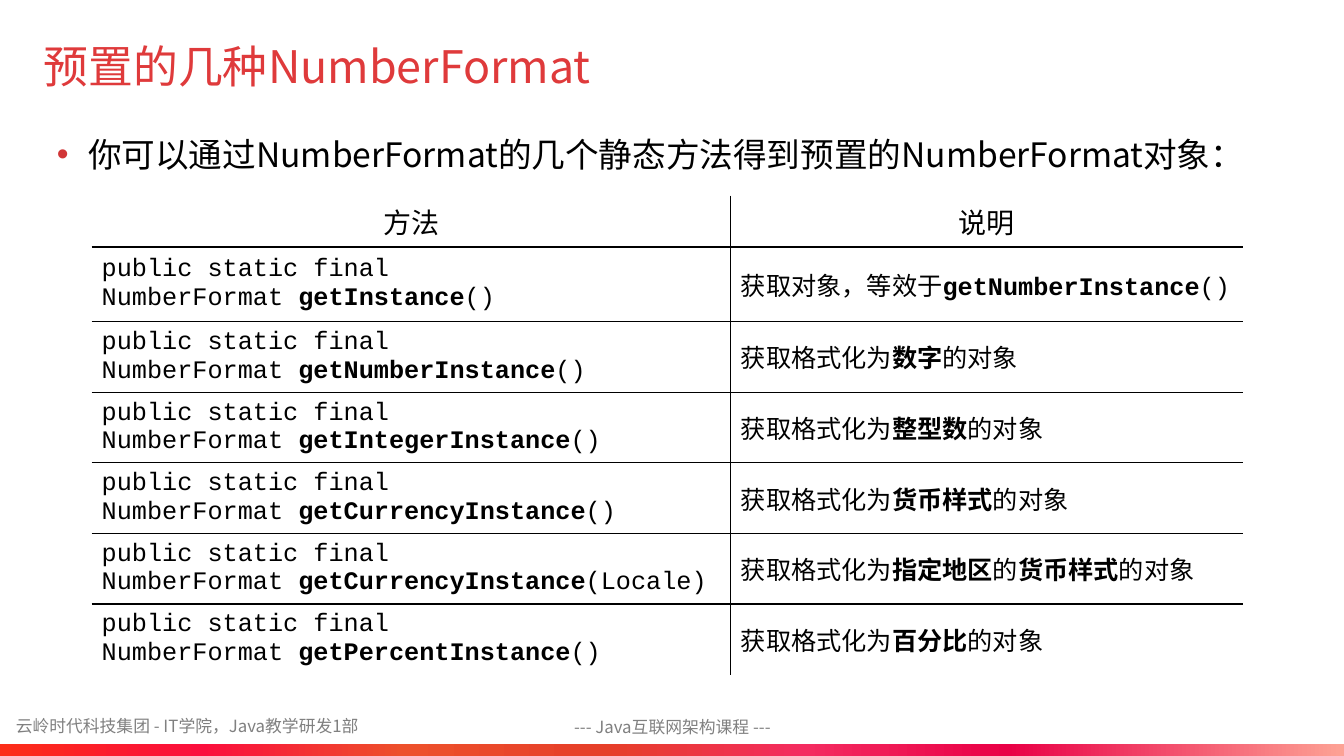
from lxml.etree import SubElement
from pptx import Presentation
from pptx.dml.color import RGBColor
from pptx.enum.shapes import MSO_SHAPE as Shape
from pptx.enum.text import MSO_ANCHOR as Anchor, MSO_AUTO_SIZE as AutoSize, PP_ALIGN as Align
from pptx.oxml.ns import qn
from pptx.util import Inches, Pt

RED = RGBColor(0xDF, 0x3A, 0x3B)
BULLET_RED = RGBColor(0xD1, 0x36, 0x37)
GREY = RGBColor(0x80, 0x80, 0x80)
BLACK = RGBColor(0, 0, 0)
WHITE = RGBColor(0xFF, 0xFF, 0xFF)
BAR_STOPS = [
    (0, RGBColor(0xFC, 0x2D, 0x18)),
    (15, RGBColor(0xFB, 0x0F, 0x3D)),
    (30, RGBColor(0xED, 0x50, 0x2B)),
    (45, RGBColor(0xE6, 0x3F, 0x29)),
    (60, RGBColor(0xF4, 0x2B, 0x60)),
    (75, RGBColor(0xE9, 0x00, 0x46)),
    (100, RGBColor(0xFD, 0xA2, 0x95)),
]
SANS, MONO = "Noto Sans CJK SC", "Courier New"
GRID_COLUMNS, GRID_ROWS = 160, 90

HEADINGS = ["方法", "说明"]
METHODS = [
    ("getInstance", "()", "获取对象，等效于*getNumberInstance*()"),
    ("getNumberInstance", "()", "获取格式化为*数字*的对象"),
    ("getIntegerInstance", "()", "获取格式化为*整型数*的对象"),
    ("getCurrencyInstance", "()", "获取格式化为*货币样式*的对象"),
    ("getCurrencyInstance", "(Locale)", "获取格式化为*指定地区*的*货币样式*的对象"),
    ("getPercentInstance", "()", "获取格式化为*百分比*的对象"),
]


class SlideBuilder:
    """Holds the grid and the current slide, and draws each kind of element."""

    def __init__(self, deck):
        """Add a title-only slide and measure its grid."""
        self.page = deck.slides.add_slide(deck.slide_layouts[5])
        self.column = deck.slide_width / GRID_COLUMNS
        self.row = deck.slide_height / GRID_ROWS

    def place(self, left, top, width, height):
        """Turn grid columns and rows into slide lengths."""
        return (round(left * self.column), round(top * self.row),
                round(width * self.column), round(height * self.row))

    def add_span(self, para, text, size, color, font=SANS, bold=False):
        """Add one styled run to a paragraph."""
        span = para.add_run()
        span.text = text
        span.font.size = Pt(size)
        span.font.bold = bold
        span.font.color.rgb = color
        span.font.name = font
        SubElement(span._r.get_or_add_rPr(), qn("a:ea"), typeface=font)

    def title(self, text, *area):
        """Move and fill the title placeholder."""
        box = self.page.shapes.title
        box.left, box.top, box.width, box.height = self.place(*area)
        frame = box.text_frame
        frame.auto_size = AutoSize.NONE
        frame.vertical_anchor = Anchor.MIDDLE
        frame.paragraphs[0].alignment = Align.LEFT
        self.add_span(frame.paragraphs[0], text, 32, RED)

    def text(self, text, size, color, *area, align=Align.LEFT, anchor=Anchor.MIDDLE):
        """Add a text box and return its paragraph."""
        frame = self.page.shapes.add_textbox(*self.place(*area)).text_frame
        frame.word_wrap = True
        frame.vertical_anchor = anchor
        para = frame.paragraphs[0]
        para.alignment = align
        self.add_span(para, text, size, color)
        return para

    def bullet(self, text, *area):
        """Add a bulleted line with a coloured marker."""
        para = self.text(text, 24, BLACK, *area, anchor=Anchor.TOP)
        para.line_spacing = 1.1
        para.space_before = Pt(10)
        props = para._p.get_or_add_pPr()
        props.set("marL", str(Inches(0.31)))
        props.set("indent", str(Inches(-0.33)))
        SubElement(SubElement(props, qn("a:buClr")), qn("a:srgbClr"), val=str(BULLET_RED))
        SubElement(props, qn("a:buFont"), typeface="Arial")
        SubElement(props, qn("a:buChar"), char="•")

    def gradient_bar(self, stops, *area):
        """Add a borderless rectangle with a left-to-right gradient."""
        bar = self.page.shapes.add_shape(Shape.RECTANGLE, *self.place(*area))
        bar.shadow.inherit = False
        bar.line.fill.background()
        bar.fill.gradient()
        bar.fill.gradient_angle = 0
        stop_list = bar._element.spPr.find(".//" + qn("a:gsLst"))
        for old_stop in list(stop_list):
            stop_list.remove(old_stop)
        for percent, color in stops:
            stop = SubElement(stop_list, qn("a:gs"), pos=str(percent * 1000))
            SubElement(stop, qn("a:srgbClr"), val=str(color))

    def border(self, cell, shown):
        """Draw the named sides of a cell and hide the others."""
        props = cell._tc.get_or_add_tcPr()
        for index, side in enumerate("LRTB"):
            line = SubElement(props, qn(f"a:ln{side}"), w=str(Pt(1)))
            if side in shown:
                SubElement(SubElement(line, qn("a:solidFill")), qn("a:srgbClr"), val=str(BLACK))
            else:
                SubElement(line, qn("a:noFill"))
            props.insert(index, line)

    def cell(self, cell, lines, size, align, shown):
        """Fill a cell; asterisks enclose bold words and ASCII is monospaced."""
        cell.fill.solid()
        cell.fill.fore_color.rgb = WHITE
        cell.vertical_anchor = Anchor.MIDDLE
        self.border(cell, shown)
        for index, line in enumerate(lines):
            frame = cell.text_frame
            para = frame.add_paragraph() if index else frame.paragraphs[0]
            para.alignment = align
            for part, words in enumerate(line.split("*")):
                font = MONO if words.isascii() else SANS
                self.add_span(para, words, size, BLACK, font, bold=part % 2 == 1)

    def table(self, rows, left, top, widths, heights):
        """Add a table ruled only between its rows and columns."""
        area = self.place(left, top, sum(widths), sum(heights))
        table = self.page.shapes.add_table(len(rows), len(widths), *area).table
        table.first_row = table.horz_banding = False
        for column, width in zip(table.columns, widths):
            column.width = round(width * self.column)
        for r, (lines, height) in enumerate(zip(rows, heights)):
            table.rows[r].height = round(height * self.row)
            size, align = (18, Align.LEFT) if r else (20, Align.CENTER)
            for c, cell_lines in enumerate(lines):
                shown = "L" if c else "R"
                shown += "T" if r else ""
                shown += "B" if r < len(rows) - 1 else ""
                self.cell(table.cell(r, c), cell_lines, size, align, shown)


def main():
    """Build the slide and save it."""
    deck = Presentation()
    deck.slide_width, deck.slide_height = Inches(13.33), Inches(7.5)
    slide = SlideBuilder(deck)
    slide.text("云岭时代科技集团 - IT学院，Java教学研发1部", 12, GREY, 0.7, 84.6, 53, 3.7)
    slide.text("--- Java互联网架构课程 ---", 12, GREY, 59.4, 84.6, 41.3, 3.8, align=Align.CENTER)
    slide.gradient_bar(BAR_STOPS, 0, 88.56, GRID_COLUMNS, 1.44)
    slide.title("预置的几种NumberFormat", 4, 3.5, 118, 8.5)
    slide.bullet("你可以通过NumberFormat的几个静态方法得到预置的NumberFormat对象：",
                 5.6, 14.9, 148.8, 8.5)
    rows = [[[heading] for heading in HEADINGS]]
    for name, arguments, meaning in METHODS:
        signature = ["public static final", f"NumberFormat *{name}*{arguments}"]
        rows.append([signature, [meaning]])
    slide.table(rows, 10.9, 23.3, [76.1, 61], [6.1, 8.9] + [8] * 5)
    deck.save("out.pptx")


if __name__ == "__main__":
    main()
